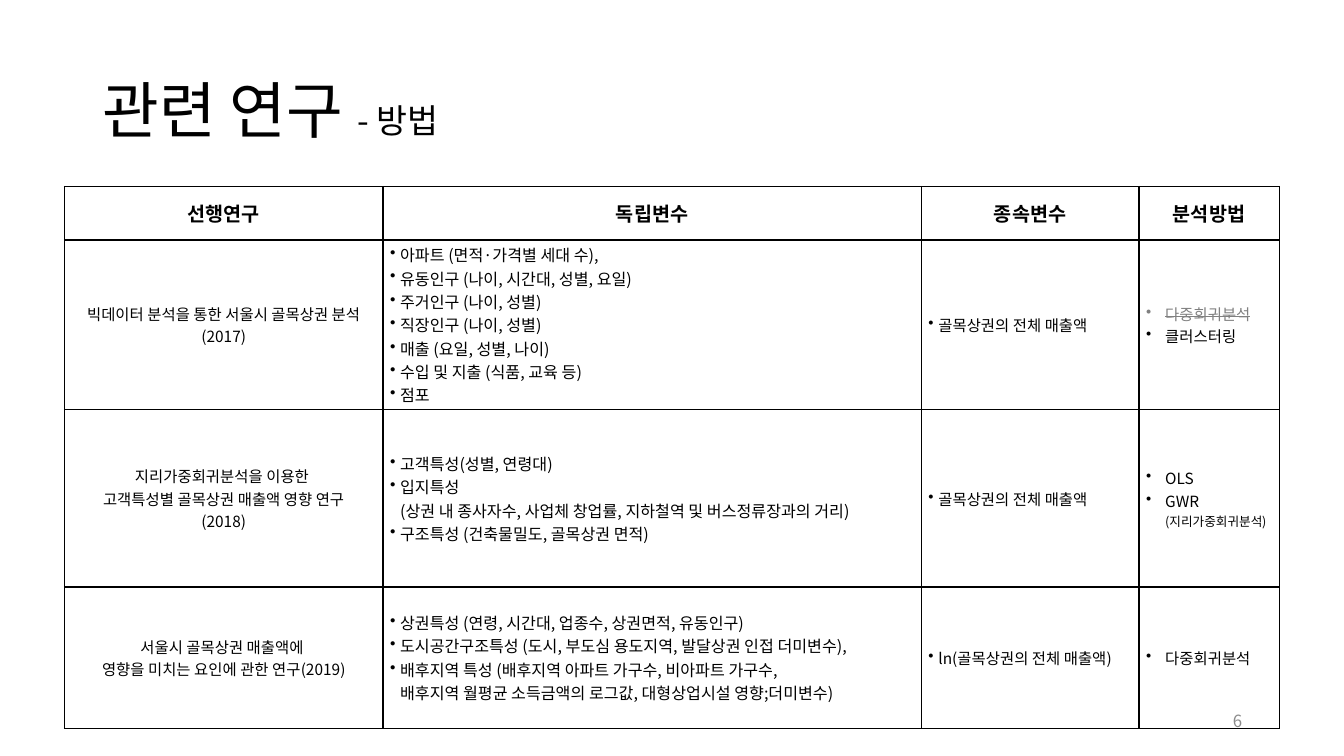
from copy import deepcopy

from lxml import etree
from pptx import Presentation
from pptx.dml.color import RGBColor
from pptx.enum.text import MSO_ANCHOR, MSO_AUTO_SIZE, PP_ALIGN
from pptx.oxml.ns import qn
from pptx.util import Inches, Pt

MIDDLE = MSO_ANCHOR.MIDDLE
NO_FIT = MSO_AUTO_SIZE.NONE
LEFT, CENTER, RIGHT = PP_ALIGN.LEFT, PP_ALIGN.CENTER, PP_ALIGN.RIGHT

BLACK = RGBColor(0x00, 0x00, 0x00)
DROPPED_GRAY = RGBColor(0x80, 0x80, 0x80)
NUMBER_GRAY = RGBColor(0x8C, 0x8C, 0x8C)
FONT = "Noto Sans CJK KR"

HEADINGS = ["선행연구", "독립변수", "종속변수", "분석방법"]
STUDIES = [
    [
        ["빅데이터 분석을 통한 서울시 골목상권 분석\v(2017)"],
        [
            "아파트 (면적·가격별 세대 수),",
            "유동인구 (나이, 시간대, 성별, 요일)",
            "주거인구 (나이, 성별)",
            "직장인구 (나이, 성별)",
            "매출 (요일, 성별, 나이)",
            "수입 및 지출 (식품, 교육 등)",
            "점포",
        ],
        ["골목상권의 전체 매출액"],
        ["다중회귀분석", "클러스터링"],
    ],
    [
        ["지리가중회귀분석을 이용한 \v고객특성별 골목상권 매출액 영향 연구\v(2018)"],
        [
            "고객특성(성별, 연령대)",
            "입지특성\v(상권 내 종사자수, 사업체 창업률, 지하철역 및 버스정류장과의 거리)",
            "구조특성 (건축물밀도, 골목상권 면적)",
        ],
        ["골목상권의 전체 매출액"],
        ["OLS", "GWR\v(지리가중회귀분석)"],
    ],
    [
        ["서울시 골목상권 매출액에 \v영향을 미치는 요인에 관한 연구(2019)"],
        [
            "상권특성 (연령, 시간대, 업종수, 상권면적, 유동인구)",
            "도시공간구조특성 (도시, 부도심 용도지역, 발달상권 인접 더미변수),",
            "배후지역 특성 (배후지역 아파트 가구수, 비아파트 가구수, \v"
            "배후지역 월평균 소득금액의 로그값, 대형상업시설 영향;더미변수)",
        ],
        ["ln(골목상권의 전체 매출액)"],
        ["다중회귀분석"],
    ],
]
COLUMN_SHARES = [23.7, 40.05, 16.2, 10.43]
ROW_SHARES = [7.07, 18.67, 23.47, 18.67]
COLUMN_SIZES = [11, 11.5, 11, 11]
COLUMN_INDENTS = [None, 0.1, 0.1, 0.19]


class StudySlide:
    def __init__(self, deck):
        self.width, self.height = deck.slide_width, deck.slide_height
        self.slide = deck.slides.add_slide(deck.slide_layouts[5])

    def across(self, percent):
        return round(self.width * percent / 100)

    def down(self, percent):
        return round(self.height * percent / 100)

    def area(self, left, top, width, height):
        return self.across(left), self.down(top), self.across(width), self.down(height)

    def style_run(self, run, size, color=BLACK, bold=False):
        run.font.size = Pt(size)
        run.font.name = FONT
        run.font.bold = bold
        run.font.color.rgb = color
        east_asian = etree.SubElement(run.font._element, qn("a:ea"))
        east_asian.set("typeface", FONT)

    def style_paragraph(self, paragraph, size, align, color=BLACK, bold=False):
        paragraph.alignment = align
        for run in paragraph.runs:
            self.style_run(run, size, color, bold)
        for line_break in paragraph._p.findall(qn("a:br")):
            line_break.append(deepcopy(paragraph.runs[0].font._element))

    def title(self, topic, aspect, *area):
        heading = self.slide.shapes.title
        heading.left, heading.top, heading.width, heading.height = self.area(*area)
        frame = heading.text_frame
        frame.auto_size = NO_FIT
        frame.vertical_anchor = MIDDLE
        frame.text = topic
        paragraph = frame.paragraphs[0]
        paragraph.line_spacing = 0.9
        self.style_paragraph(paragraph, 44, LEFT)
        aspect_run = paragraph.add_run()
        aspect_run.text = aspect
        self.style_run(aspect_run, 24)

    def page_number(self, number, *area):
        frame = self.slide.shapes.add_textbox(*self.area(*area)).text_frame
        frame.word_wrap = True
        frame.vertical_anchor = MIDDLE
        frame.text = number
        self.style_paragraph(frame.paragraphs[0], 12, RIGHT, NUMBER_GRAY)

    def bullet(self, paragraph, indent):
        properties = paragraph._p.get_or_add_pPr()
        properties.set("marL", str(Inches(indent)))
        properties.set("indent", str(-Inches(indent)))
        etree.SubElement(properties, qn("a:buChar")).set("char", "•")

    def frame_cell(self, cell):
        cell.vertical_anchor = MIDDLE
        cell.margin_left = cell.margin_right = Inches(0.07)
        cell.margin_top = cell.margin_bottom = Inches(0.03)
        properties = cell._tc.get_or_add_tcPr()
        for side in ("a:lnL", "a:lnR", "a:lnT", "a:lnB"):
            border = etree.SubElement(properties, qn(side), w=str(Pt(1)))
            paint = etree.SubElement(border, qn("a:solidFill"))
            etree.SubElement(paint, qn("a:srgbClr"), val=str(BLACK))
        cell.fill.background()

    def fill_cell(self, cell, items, size, indent=None, bold=False):
        self.frame_cell(cell)
        frame = cell.text_frame
        frame.text = "\n" * (len(items) - 1)
        for paragraph, item in zip(frame.paragraphs, items):
            paragraph.text = item
            self.style_paragraph(paragraph, size, LEFT if indent else CENTER, bold=bold)
            if indent:
                self.bullet(paragraph, indent)

    def study_table(self, left, top):
        area = self.area(left, top, sum(COLUMN_SHARES), sum(ROW_SHARES))
        table = self.slide.shapes.add_table(len(ROW_SHARES), len(COLUMN_SHARES), *area).table
        table.first_row = table.horz_banding = False
        for column, share in zip(table.columns, COLUMN_SHARES):
            column.width = self.across(share)
        for row, share in zip(table.rows, ROW_SHARES):
            row.height = self.down(share)
        for column, heading in enumerate(HEADINGS):
            self.fill_cell(table.cell(0, column), [heading], 14, bold=True)
        for row, study in enumerate(STUDIES, 1):
            for column, items in enumerate(study):
                self.fill_cell(table.cell(row, column), items,
                               COLUMN_SIZES[column], COLUMN_INDENTS[column])
        return table

    def strike(self, run):
        run.font.color.rgb = DROPPED_GRAY
        run.font._element.set("strike", "sngStrike")


def main():
    deck = Presentation()
    deck.slide_width, deck.slide_height = Inches(13.33), Inches(7.5)
    page = StudySlide(deck)
    page.title("관련 연구 ", "- 방법", 6.9, 5.33, 86.27, 19.33)
    studies = page.study_table(4.8, 24.67)
    dropped_method = studies.cell(1, 3).text_frame.paragraphs[0]
    page.strike(dropped_method.runs[0])
    method_note = studies.cell(2, 3).text_frame.paragraphs[1].runs[-1]
    method_note.font.size = Pt(9)
    page.page_number("6", 70.67, 92.67, 22.5, 5.33)
    deck.save("out.pptx")


if __name__ == "__main__":
    main()
